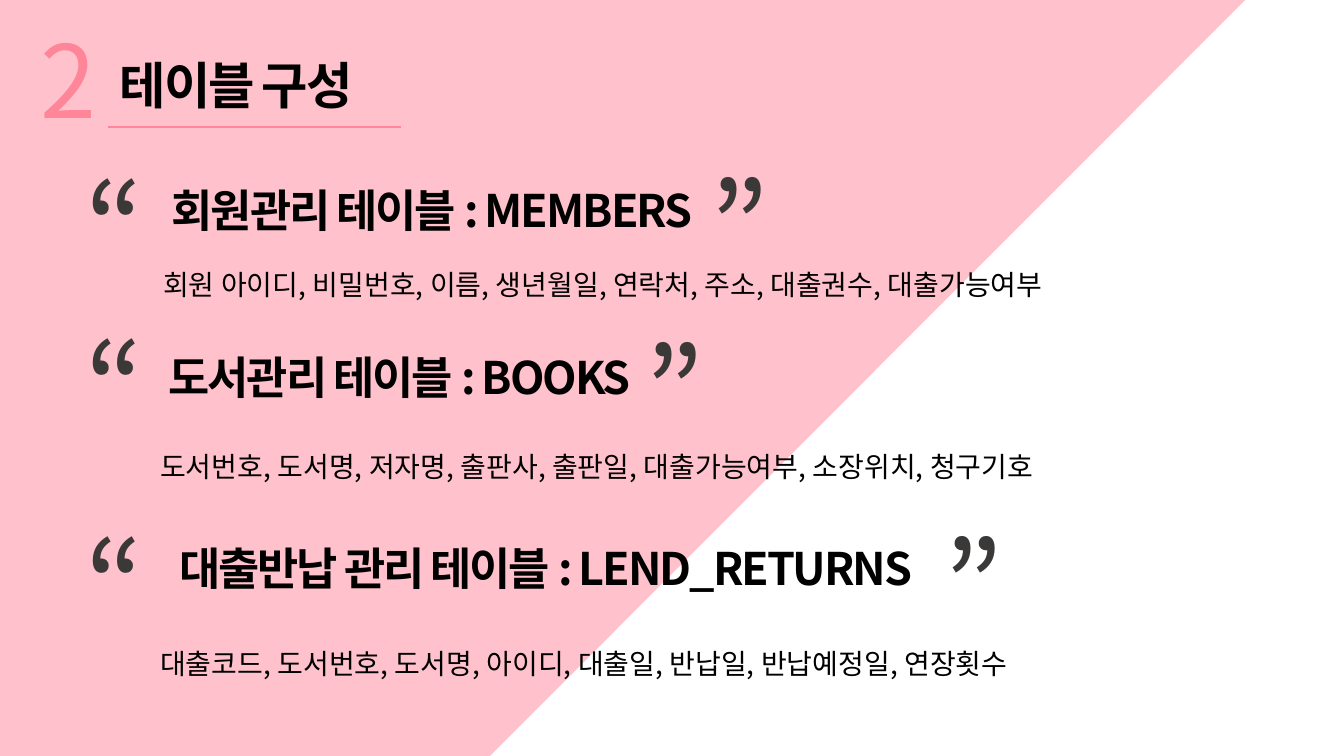
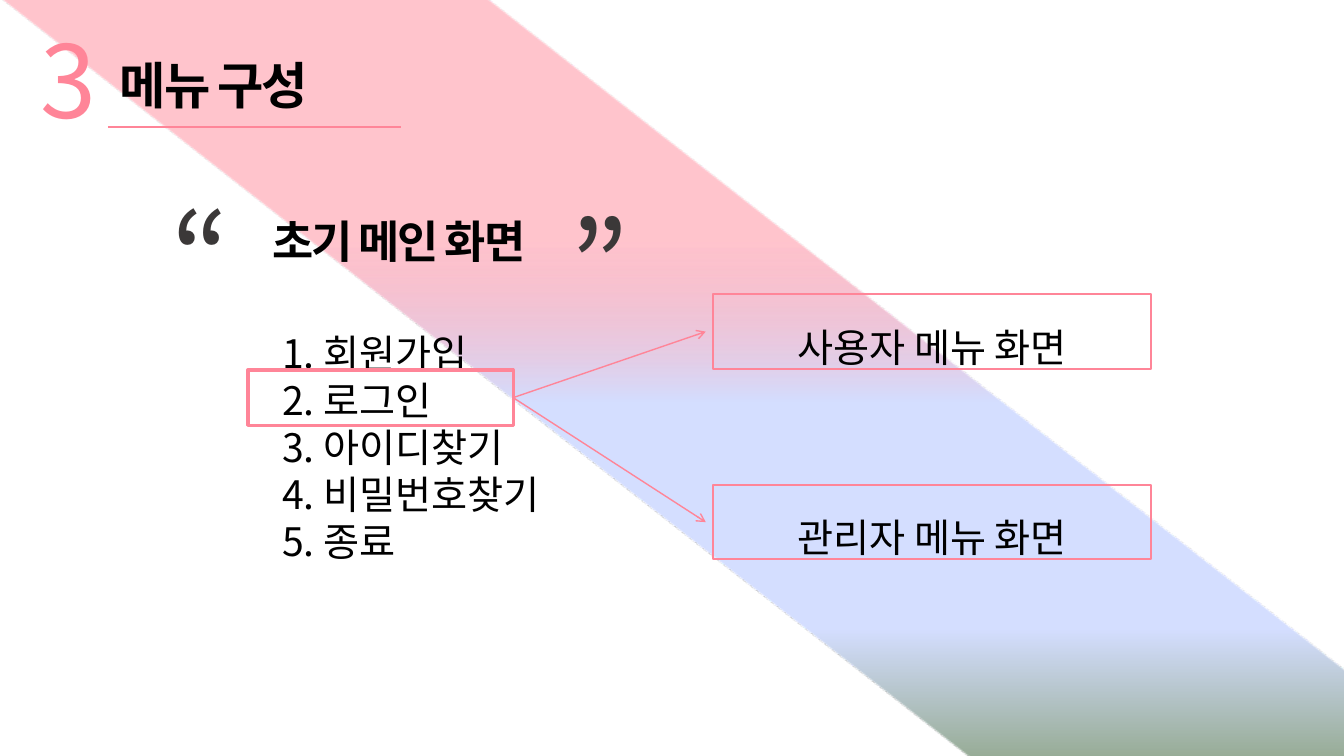
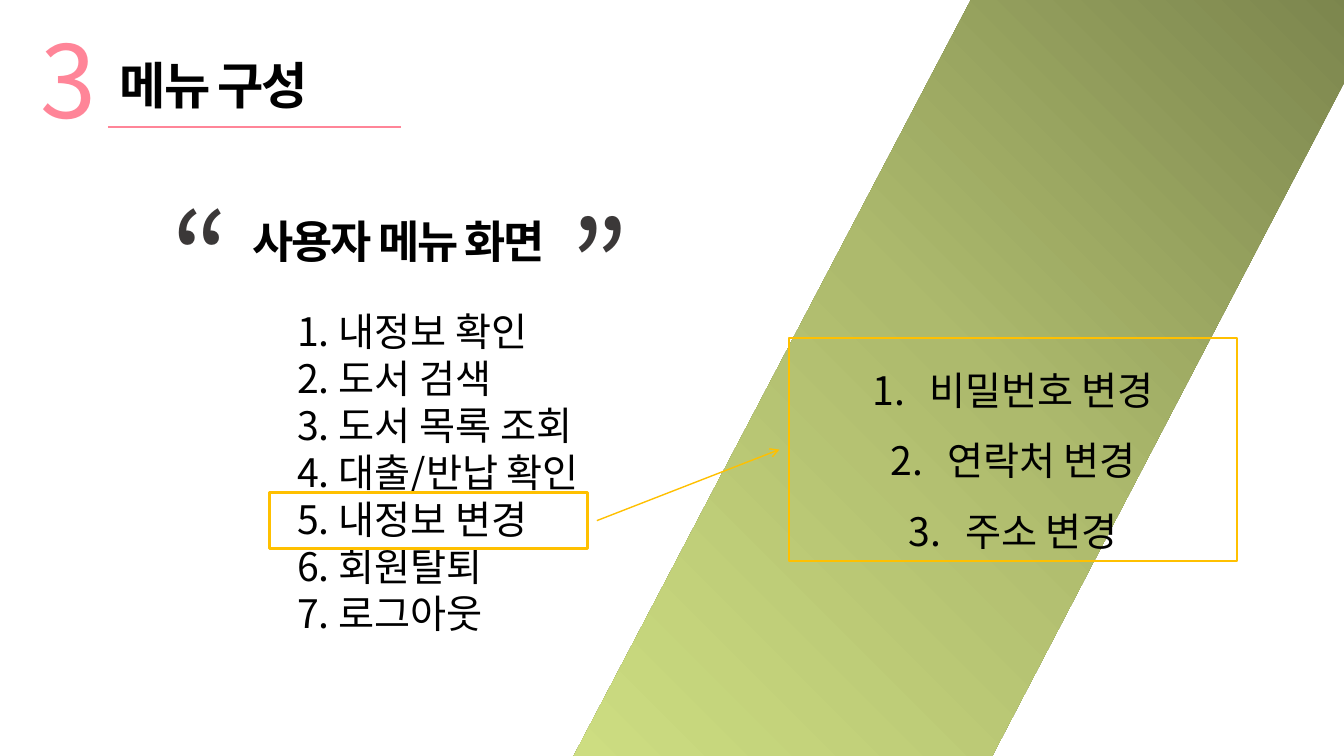
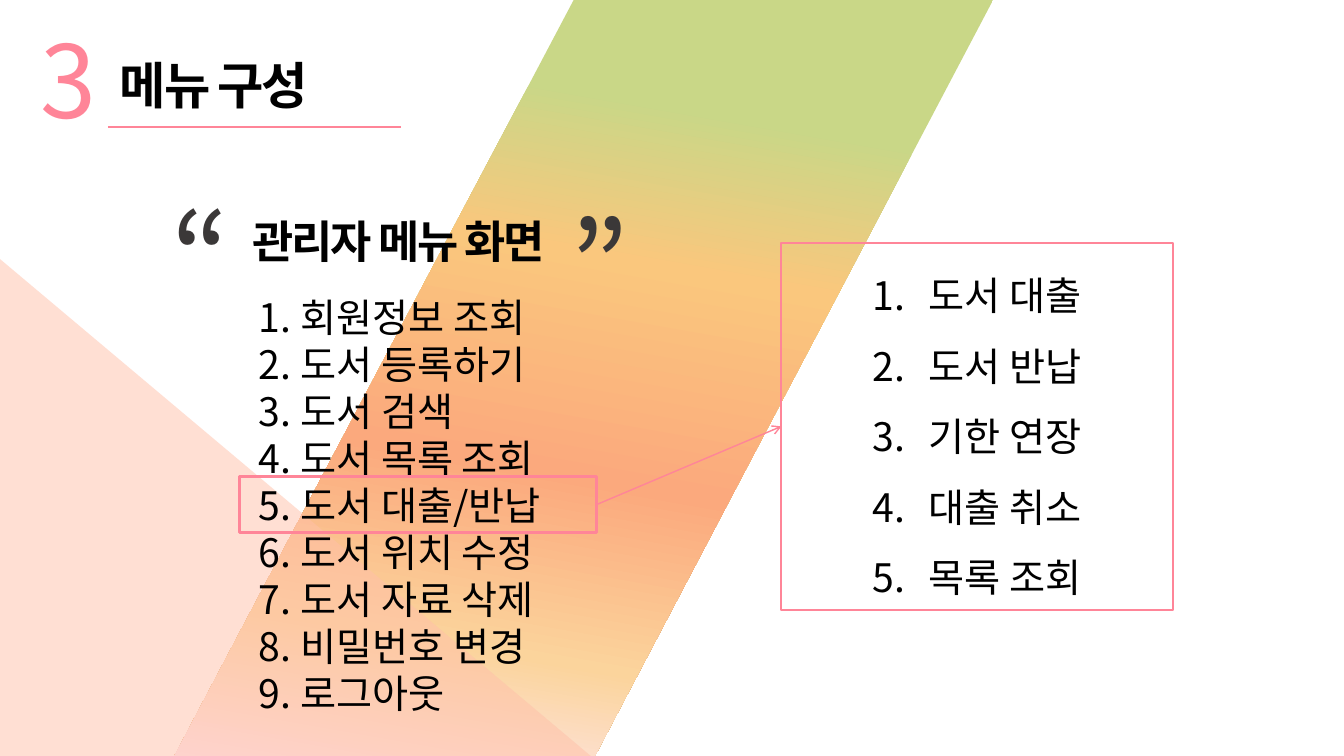
from collections import namedtuple
from lxml.etree import SubElement
from pptx import Presentation
from pptx.dml.color import RGBColor
from pptx.enum.shapes import MSO_CONNECTOR as Connector, MSO_SHAPE as Preset
from pptx.enum.text import MSO_ANCHOR as Anchor, MSO_AUTO_SIZE as AutoSize, PP_ALIGN as Align
from pptx.oxml.ns import qn
from pptx.util import Inches, Pt

Box = namedtuple("Box", "left top width height")
Table = namedtuple("Table", "heading box opening closing columns columns_corner")

FONT = "Noto Sans CJK KR"
INK, QUOTE, PINK, GOLD, PEACH = "000000", "3B3838", "FF8598", "FFC000", "FFC0A9"
PINK_TO_GREEN = [(32, PINK, 48), (53, "D4DEFF", 100), (83, "D4DEFF", 100), (100, "96AB94", 100)]
OLIVE = [(0, "79834C", 100), (50, "ADBA6D", 100), (100, "CDDD81", 100)]
SUNSET = [(18, "C9D787", 100), (36, "FAC77D", 100), (61, "FBA97D", 100),
          (82, "FBD49C", 100), (100, "FEE7F2", 100)]

TIGHT = -1.5
HANGING = 0.56
HIGHLIGHT_HEIGHT = 0.55
QUOTE_SIZE = (0.73, 1.58)
COLUMNS_SIZE = (10.05, 0.44)
NUMBER_BOX = Box(0.3, 0.13, 0.72, 1.31)
TITLE_BOX = Box(1.09, 0.49, 2.73, 0.71)
TITLE_RULE = ((1.07, 1.26), (3.98, 1.26))
MENU_HEADING_BOX = Box(2.2, 2.07, 3.51, 0.64)
MENU_OPENING, MENU_CLOSING = (1.6, 1.75), (5.56, 1.83)

TABLES = [
    Table("회원관리 테이블 : MEMBERS", Box(1.42, 1.76, 5.73, 0.64), (0.75, 1.45), (6.95, 1.44),
          "회원 아이디, 비밀번호, 이름, 생년월일, 연락처, 주소, 대출권수, 대출가능여부", (1.52, 2.6)),
    Table("도서관리 테이블 : BOOKS", Box(1.43, 3.42, 5.07, 0.64), (0.75, 3.04), (6.3, 3.08),
          "도서번호, 도서명, 저자명, 출판사, 출판일, 대출가능여부, 소장위치, 청구기호", (1.49, 4.41)),
    Table("대출반납 관리 테이블 : LEND_RETURNS", Box(1.02, 5.32, 8.79, 0.64), (0.75, 5), (9.27, 5),
          "대출코드, 도서번호, 도서명, 아이디, 대출일, 반납일, 반납예정일, 연장횟수", (1.49, 6.36)),
]
MAIN_ITEMS = ["회원가입", "로그인", "아이디찾기", "비밀번호찾기", "종료"]
USER_ITEMS = ["내정보 확인", "도서 검색", "도서 목록 조회", "대출/반납 확인", "내정보 변경",
              "회원탈퇴", "로그아웃"]
ADMIN_ITEMS = ["회원정보 조회", "도서 등록하기", "도서 검색", "도서 목록 조회", "도서 대출/반납",
               "도서 위치 수정", "도서 자료 삭제", "비밀번호 변경", "로그아웃"]
PROFILE_CHANGES = ["비밀번호 변경", "연락처 변경", "주소 변경"]
LENDING_TASKS = ["도서 대출", "도서 반납", "기한 연장", "대출 취소", "목록 조회"]


def rgb(color):
    return RGBColor.from_string(color)


def inches(values):
    return [Inches(value) for value in values]


def add_alpha(color_element, opacity):
    SubElement(color_element, qn("a:alpha"), val=str(opacity * 1000))


def fill_solid(shape, color, opacity):
    shape.fill.solid()
    shape.fill.fore_color.rgb = rgb(color)
    add_alpha(next(shape._element.spPr.iter(qn("a:srgbClr"))), opacity)


def fill_gradient(shape, stops, angle):
    shape.fill.background()
    properties = shape._element.spPr
    empty_fill = properties.find(qn("a:noFill"))
    gradient = SubElement(properties, qn("a:gradFill"), rotWithShape="1")
    stop_list = SubElement(gradient, qn("a:gsLst"))
    for position, color, opacity in stops:
        stop = SubElement(stop_list, qn("a:gs"), pos=str(position * 1000))
        add_alpha(SubElement(stop, qn("a:srgbClr"), val=color), opacity)
    SubElement(gradient, qn("a:lin"), ang=str(angle * 60000), scaled="0")
    properties.replace(empty_fill, gradient)


def number_paragraph(paragraph):
    properties = paragraph._p.get_or_add_pPr()
    properties.set("marL", str(Inches(HANGING)))
    properties.set("indent", str(-Inches(HANGING)))
    SubElement(properties, qn("a:buFont"), typeface="+mj-lt")
    SubElement(properties, qn("a:buAutoNum"), type="arabicPeriod")


def write(frame, lines, size=28, color=INK, bold=False, tracking=0, align=Align.LEFT,
          spacing=None, numbered=False):
    for index, line in enumerate(lines):
        paragraph = frame.add_paragraph() if index else frame.paragraphs[0]
        paragraph.alignment = align
        if spacing:
            paragraph.line_spacing = spacing
        if numbered:
            number_paragraph(paragraph)
        run = paragraph.add_run()
        run.text = line
        font = run.font
        font.name, font.size, font.bold = FONT, Pt(size), bold
        font.color.rgb = rgb(color)
        run_properties = run._r.get_or_add_rPr()
        SubElement(run_properties, qn("a:ea"), typeface=FONT)
        run_properties.set("kern", "0")
        run_properties.set("spc", str(int(tracking * 100)))


def add_text(slide, box, *lines, wrap=True, **style):
    frame = slide.shapes.add_textbox(*inches(box)).text_frame
    frame.word_wrap = wrap
    frame.auto_size = AutoSize.SHAPE_TO_FIT_TEXT
    write(frame, lines, **style)


def add_preset(slide, preset, box):
    shape = slide.shapes.add_shape(preset, *inches(box))
    shape.shadow.inherit = False
    return shape


def add_band(slide, top_edge, bottom_edge, top=0, bottom=7.52):
    (top_left, top_right), (bottom_left, bottom_right) = top_edge, bottom_edge
    start, *others = [inches(corner) for corner in (
        (top_left, top), (top_right, top), (bottom_right, bottom), (bottom_left, bottom))]
    builder = slide.shapes.build_freeform(*start, scale=1.0)
    builder.add_line_segments(others, close=True)
    band = builder.convert_to_shape()
    band.shadow.inherit = False
    band.line.fill.background()
    return band


def add_frame(slide, box, color, *lines, weight=1.5, numbered=False):
    outline = add_preset(slide, Preset.RECTANGLE, box)
    outline.fill.background()
    outline.line.color.rgb = rgb(color)
    outline.line.width = Pt(weight)
    outline.text_frame.word_wrap = True
    outline.text_frame.vertical_anchor = Anchor.TOP
    write(outline.text_frame, lines, align=Align.CENTER, spacing=1.5, numbered=numbered)


def add_line(slide, start, end, color, weight=1.0, arrow=False):
    line = slide.shapes.add_connector(Connector.STRAIGHT, *inches(start + end))
    line.line.color.rgb = rgb(color)
    line.line.width = Pt(weight)
    if arrow:
        SubElement(line.line._get_or_add_ln(), qn("a:tailEnd"), type="arrow")
    SubElement(line._element.spPr, qn("a:effectLst"))


def add_arrow_between(slide, source, target, color, start_gap=0, end_gap=0):
    start = (source.left + source.width + start_gap, source.top + source.height / 2)
    end = (target.left - end_gap, target.top + target.height / 2)
    add_line(slide, start, end, color, arrow=True)


def add_header(slide, number, title):
    add_text(slide, NUMBER_BOX, number, size=72, color=PINK, tracking=TIGHT)
    add_text(slide, TITLE_BOX, title, wrap=False, size=36, bold=True, tracking=TIGHT)
    add_line(slide, *TITLE_RULE, PINK, weight=1.5)


def add_quoted_heading(slide, heading, box, opening, closing):
    add_text(slide, box, heading, size=32, bold=True, tracking=TIGHT, align=Align.CENTER)
    for mark, corner in (("“", opening), ("”", closing)):
        add_text(slide, corner + QUOTE_SIZE, mark, wrap=False, size=88, color=QUOTE, tracking=TIGHT)


def add_menu(slide, heading, items, items_box, highlight, accent):
    add_header(slide, "3", "메뉴 구성")
    add_quoted_heading(slide, heading, MENU_HEADING_BOX, MENU_OPENING, MENU_CLOSING)
    add_text(slide, items_box, *[f"{number}. {item}" for number, item in enumerate(items, 1)])
    add_frame(slide, highlight, accent, weight=2.25)


def build_tables(slide):
    backdrop = add_band(slide, (-0.74, 12.53), (-0.64, 4.5), top=-0.18, bottom=7.86)
    fill_solid(backdrop, PINK, 50)
    add_header(slide, "2", "테이블 구성")
    for table in TABLES:
        add_quoted_heading(slide, table.heading, table.box, table.opening, table.closing)
        add_text(slide, table.columns_corner + COLUMNS_SIZE, table.columns, size=20)


def build_main_menu(slide):
    band = add_band(slide, (0.03, 4.84), (9.65, 14.46))
    fill_gradient(band, PINK_TO_GREEN, 90)
    login = Box(2.46, 3.67, 2.63, HIGHLIGHT_HEIGHT)
    add_menu(slide, "초기 메인 화면", MAIN_ITEMS, Box(2.7, 3.22, 4.55, 2.46), login, PINK)
    for screen, top in (("사용자 메뉴 화면", 2.92), ("관리자 메뉴 화면", 4.81)):
        destination = Box(7.07, top, 4.35, 0.74)
        add_frame(slide, destination, PINK, screen)
        add_arrow_between(slide, login, destination, PINK, end_gap=0.07)


def build_user_menu(slide):
    band = add_band(slide, (9.64, 13.77), (5.69, 9.84), top=-0.02, bottom=7.5)
    fill_gradient(band, OLIVE, 135)
    change_profile = Box(2.67, 4.89, 3.16, HIGHLIGHT_HEIGHT)
    add_menu(slide, "사용자 메뉴 화면", USER_ITEMS, Box(2.85, 3, 6.5, 3.4), change_profile, GOLD)
    submenu = Box(7.83, 3.35, 4.44, 2.22)
    add_frame(slide, submenu, GOLD, *PROFILE_CHANGES, numbered=True)
    add_arrow_between(slide, change_profile, submenu, GOLD, start_gap=0.09, end_gap=0.1)


def build_admin_menu(slide):
    band = add_band(slide, (5.69, 9.85), (1.72, 5.89))
    fill_gradient(band, SUNSET, 100)
    corner = add_preset(slide, Preset.RIGHT_TRIANGLE, Box(0, 2.57, 5.86, 4.93))
    corner.line.fill.background()
    fill_solid(corner, PEACH, 50)
    lending = Box(2.38, 4.73, 3.54, HIGHLIGHT_HEIGHT)
    add_menu(slide, "관리자 메뉴 화면", ADMIN_ITEMS, Box(2.47, 2.86, 6.5, 4.34), lending, PINK)
    submenu = Box(7.75, 2.41, 3.88, 3.64)
    add_frame(slide, submenu, PINK, *LENDING_TASKS, numbered=True)
    add_arrow_between(slide, lending, submenu, PINK)


def main():
    deck = Presentation()
    deck.slide_width, deck.slide_height = Inches(13.33), Inches(7.5)
    for build in (build_tables, build_main_menu, build_user_menu, build_admin_menu):
        build(deck.slides.add_slide(deck.slide_layouts[6]))
    deck.save("out.pptx")


if __name__ == "__main__":
    main()
